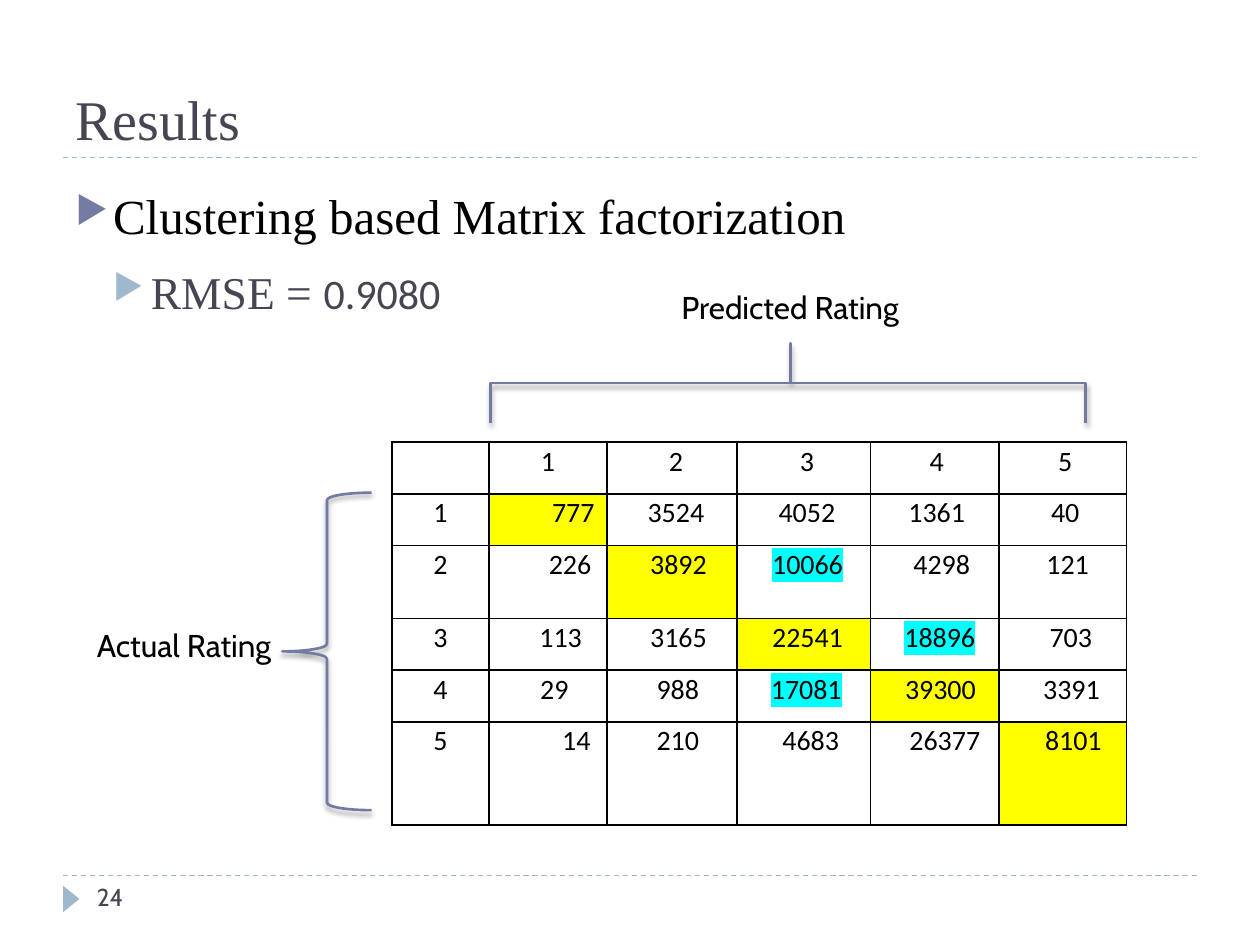
from dataclasses import dataclass

from lxml.etree import SubElement
from pptx import Presentation
from pptx.dml.color import RGBColor
from pptx.enum.dml import MSO_LINE_DASH_STYLE as Dash
from pptx.enum.shapes import MSO_CONNECTOR as Connector, MSO_SHAPE as Preset
from pptx.enum.text import MSO_ANCHOR as Anchor, PP_ALIGN as Align
from pptx.oxml.ns import qn
from pptx.util import Inches, Pt

SERIF, SANS, TABLE_FONT = "Times New Roman", "Cabin", "Calibri"
BLACK, SLATE, INDIGO, SKY = "000000", "464653", "727CA3", "9FB8CD"
YELLOW, CYAN = "FFFF00", "00FFFF"


@dataclass
class Run:
    text: str
    size: float
    font: str
    color: str
    highlight: str = ""


@dataclass
class Label:
    box: tuple
    run: Run
    anchor: Anchor = Anchor.TOP


@dataclass
class Bullet:
    margin: float
    before: float
    color: str
    runs: tuple


@dataclass
class Brace:
    box: tuple
    rotation: float = 0
    adjustments: tuple = ()


@dataclass
class Entry:
    text: str
    indent: float = 0
    highlight: str = ""


LABELS = (
    Label((0.5, 0.17, 9, 1.08), Run("Results", 32, SERIF, SLATE), Anchor.BOTTOM),
    Label((0.67, 6.95, 2.17, 0.4), Run("24", 14, SANS, SLATE)),
    Label((5.31, 2.24, 2.05, 0.4), Run("Predicted Rating", 18, SANS, BLACK)),
    Label((0.67, 4.92, 2.05, 0.4), Run("Actual Rating", 18, SANS, BLACK)),
)
BULLETS = (
    Bullet(0.3, 6, INDIGO,
           (Run("Clustering based Matrix factorization", 28, SERIF, BLACK),)),
    Bullet(0.6, 5, SKY,
           (Run("RMSE = ", 26, SERIF, SLATE), Run("0.9080", 24, TABLE_FONT, SLATE))),
)
BRACES = (
    Brace((2.24, 3.91, 0.71, 2.52)),
    Brace((5.94, 0.68, 0.63, 4.72), 90, (0, 0.496)),
)
COLUMN_WIDTHS = (0.77, 0.94, 1.03, 1.06, 1.02, 1.01)
ROW_HEIGHTS = (0.41, 0.41, 0.58, 0.41, 0.41, 0.82)
CONFUSION = (
    (Entry(""), Entry("1"), Entry("2", 0.06), Entry("3", 0.05),
     Entry("4", 0.03), Entry("5", 0.04)),
    (Entry("1"), Entry("777", 0.4, YELLOW), Entry("3524", 0.06),
     Entry("4052", 0.05), Entry("1361", 0.03), Entry("40", 0.04)),
    (Entry("2"), Entry("226", 0.35), Entry("3892", 0.1, YELLOW),
     Entry("10066", 0.06, CYAN), Entry("4298", 0.11), Entry("121", 0.08)),
    (Entry("3"), Entry("113", 0.2), Entry("3165", 0.1),
     Entry("22541", 0.06, YELLOW), Entry("18896", 0.08, CYAN), Entry("703", 0.13)),
    (Entry("4"), Entry("29", 0.1), Entry("988", 0.09),
     Entry("17081", 0.04, CYAN), Entry("39300", 0.09, YELLOW), Entry("3391", 0.14)),
    (Entry("5"), Entry("14", 0.45), Entry("210", 0.09),
     Entry("4683", 0.11), Entry("26377", 0.16), Entry("8101", 0.17, YELLOW)),
)


def rgb(value: str) -> RGBColor:
    return RGBColor.from_string(value)


def inches(box: tuple) -> list:
    return [Inches(length) for length in box]


def apply(target, values: dict) -> None:
    for name, value in values.items():
        setattr(target, name, value)


def add_xml(parent, tag: str, **attributes):
    return SubElement(parent, qn(tag), attributes)


def add_run(paragraph, content: Run) -> None:
    run = paragraph.add_run()
    run.text = content.text
    apply(run.font, {"size": Pt(content.size), "name": content.font})
    run.font.color.rgb = rgb(content.color)
    if content.highlight:
        properties = run.font._element
        highlight = add_xml(properties, "a:highlight")
        add_xml(highlight, "a:srgbClr", val=content.highlight)
        properties.find(qn("a:solidFill")).addnext(highlight)


def add_frame(slide, box: tuple, anchor: Anchor = Anchor.TOP):
    frame = slide.shapes.add_textbox(*inches(box)).text_frame
    apply(frame, {"word_wrap": True, "vertical_anchor": anchor})
    return frame


def draw_rule(slide, y: float) -> None:
    rule = slide.shapes.add_connector(Connector.STRAIGHT, *inches((0.5, y, 9.5, y)))
    apply(rule.line, {"width": Pt(0.75), "dash_style": Dash.DASH})
    rule.line.color.rgb = rgb(SKY)
    add_xml(rule._element.spPr, "a:effectLst")


def draw_page_marker(slide) -> None:
    marker = slide.shapes.add_shape(
        Preset.ISOSCELES_TRIANGLE, *inches((0.46, 7.07, 0.21, 0.13)))
    marker.rotation = 90
    marker.shadow.inherit = False
    marker.fill.solid()
    marker.fill.fore_color.rgb = rgb(SKY)
    marker.line.fill.background()


def draw_bullets(slide) -> None:
    frame = add_frame(slide, (0.5, 1.33, 9, 5.4))
    for position, bullet in enumerate(BULLETS):
        paragraph = frame.add_paragraph() if position else frame.paragraphs[0]
        apply(paragraph, {"level": position, "line_spacing": 1.2,
                          "space_before": Pt(bullet.before)})
        properties = paragraph._p.get_or_add_pPr()
        properties.set("marL", str(Inches(bullet.margin)))
        properties.set("indent", str(Inches(-0.3)))
        add_xml(add_xml(properties, "a:buClr"), "a:srgbClr", val=bullet.color)
        add_xml(properties, "a:buSzPct", val="76000")
        add_xml(properties, "a:buChar", char="▶")
        for run in bullet.runs:
            add_run(paragraph, run)


def draw_brace(slide, brace: Brace) -> None:
    shape = slide.shapes.add_shape(Preset.LEFT_BRACE, *inches(brace.box))
    shape.rotation = brace.rotation
    for position, value in enumerate(brace.adjustments):
        shape.adjustments[position] = value
    shape.fill.background()
    shape.line.width = Pt(1.5)
    shape.line.color.rgb = rgb(INDIGO)
    shape.shadow.inherit = False
    shadow = add_xml(shape._element.spPr.find(qn("a:effectLst")), "a:outerShdw",
                     blurRad=str(Pt(3)), dist=str(Pt(2)), dir="5400000", rotWithShape="0")
    add_xml(add_xml(shadow, "a:srgbClr", val=BLACK), "a:alpha", val="40000")


def fill_cell(cell, entry: Entry, diagonal: bool) -> None:
    apply(cell, dict.fromkeys(
        ("margin_left", "margin_top", "margin_right", "margin_bottom"), 0))
    for side in ("L", "R", "T", "B"):
        border = add_xml(cell._tc.get_or_add_tcPr(), f"a:ln{side}", w=str(Pt(1)))
        add_xml(add_xml(border, "a:solidFill"), "a:srgbClr", val=BLACK)
    if diagonal:
        cell.fill.solid()
        cell.fill.fore_color.rgb = rgb(YELLOW)
    else:
        cell.fill.background()
    if entry.text:
        paragraph = cell.text_frame.paragraphs[0]
        apply(paragraph, {"alignment": Align.CENTER, "line_spacing": 1.07})
        paragraph._p.get_or_add_pPr().set("marL", str(Inches(entry.indent)))
        add_run(paragraph, Run(entry.text, 16, TABLE_FONT, BLACK, entry.highlight))


def draw_confusion(slide) -> None:
    box = (3.11, 3.51, sum(COLUMN_WIDTHS), sum(ROW_HEIGHTS))
    table = slide.shapes.add_table(
        len(ROW_HEIGHTS), len(COLUMN_WIDTHS), *inches(box)).table
    apply(table, {"first_row": False, "horz_banding": False})
    for column, width in zip(table.columns, COLUMN_WIDTHS):
        column.width = Inches(width)
    for actual, (height, entries) in enumerate(zip(ROW_HEIGHTS, CONFUSION)):
        table.rows[actual].height = Inches(height)
        for predicted, entry in enumerate(entries):
            fill_cell(table.cell(actual, predicted), entry, actual == predicted > 0)


def main() -> None:
    deck = Presentation()
    apply(deck, {"slide_width": Inches(10), "slide_height": Inches(7.5)})
    slide = deck.slides.add_slide(deck.slide_layouts[6])
    for y in (6.95, 1.25):
        draw_rule(slide, y)
    draw_page_marker(slide)
    draw_bullets(slide)
    draw_confusion(slide)
    for brace in BRACES:
        draw_brace(slide, brace)
    for label in LABELS:
        add_run(add_frame(slide, label.box, label.anchor).paragraphs[0], label.run)
    deck.save("out.pptx")


if __name__ == "__main__":
    main()
